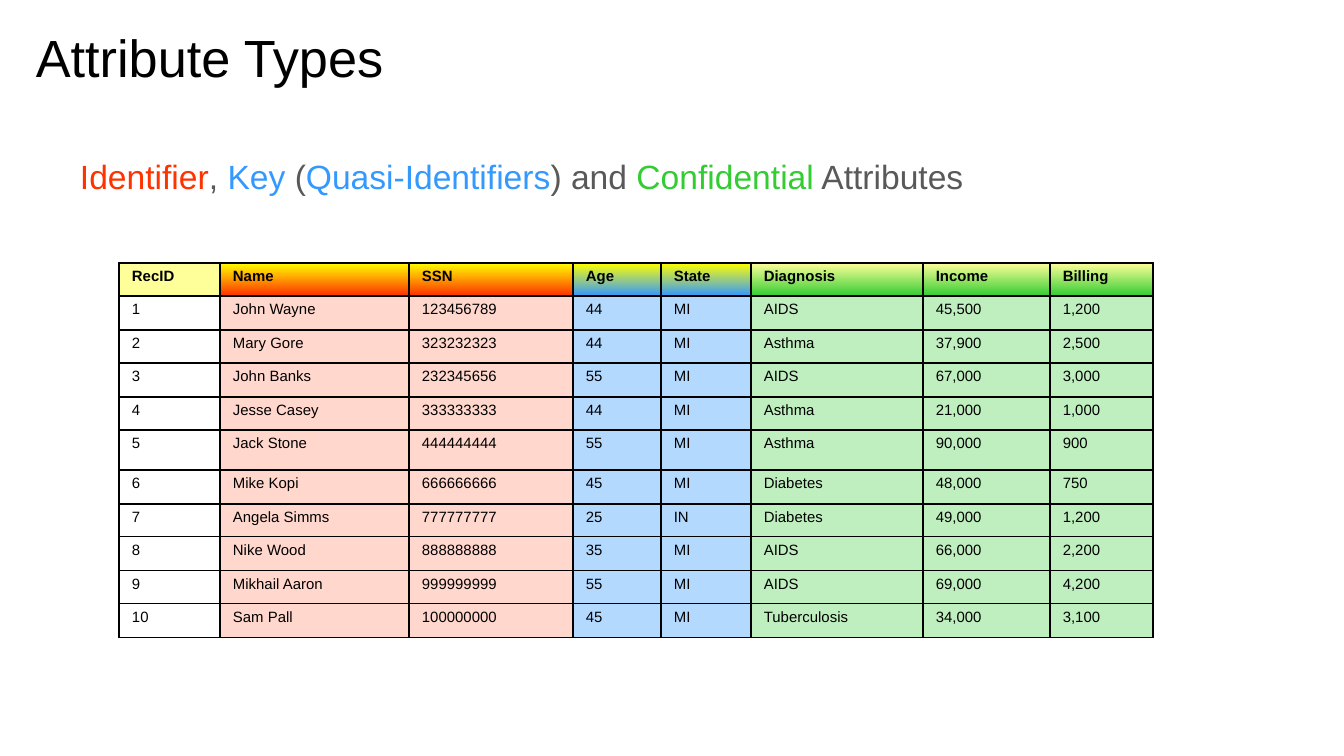
from dataclasses import dataclass

from lxml.etree import SubElement
from pptx import Presentation
from pptx.dml.color import RGBColor
from pptx.dml.fill import FillFormat
from pptx.enum.text import PP_ALIGN
from pptx.oxml import parse_xml
from pptx.oxml.ns import nsdecls, qn
from pptx.slide import Slide
from pptx.table import _Cell
from pptx.text.text import TextFrame
from pptx.util import Emu, Pt

PX_PER_INCH = 134.4


@dataclass(frozen=True)
class Theme:
    font: str = "Arial"
    title_size: int = 28
    legend_size: int = 18
    cell_size: int = 8
    border_width: int = 1
    black: str = "000000"
    gray: str = "595959"
    identifier: str = "FF3300"
    key: str = "3399FF"
    confidential: str = "33CC33"
    yellow: str = "FFFF00"
    pale_yellow: str = "FFFF99"
    identifier_deep: str = "FE3000"
    identifier_pale: str = "FFD7CD"
    key_pale: str = "B3D9FF"
    confidential_pale: str = "BFEFBF"


THEME = Theme()


@dataclass(frozen=True)
class Box:
    left: int
    top: int
    width: int
    height: int


@dataclass(frozen=True)
class AttributeType:
    """Header colours run from top to bottom; no body colour means no fill."""
    header: tuple[str, ...]
    body: str | None = None


@dataclass(frozen=True)
class Attribute:
    label: str
    width: int
    type: AttributeType


RECORD_ID = AttributeType((THEME.pale_yellow,))
IDENTIFIER = AttributeType((THEME.yellow, THEME.identifier_deep), THEME.identifier_pale)
KEY = AttributeType((THEME.yellow, THEME.key), THEME.key_pale)
CONFIDENTIAL = AttributeType((THEME.pale_yellow, THEME.confidential), THEME.confidential_pale)

ATTRIBUTES = [
    Attribute("RecID", 101, RECORD_ID),
    Attribute("Name", 189, IDENTIFIER),
    Attribute("SSN", 164, IDENTIFIER),
    Attribute("Age", 88, KEY),
    Attribute("State", 90, KEY),
    Attribute("Diagnosis", 172, CONFIDENTIAL),
    Attribute("Income", 127, CONFIDENTIAL),
    Attribute("Billing", 103, CONFIDENTIAL),
]
RECORDS = [
    ("John Wayne", "123456789", "44", "MI", "AIDS", "45,500", "1,200"),
    ("Mary Gore", "323232323", "44", "MI", "Asthma", "37,900", "2,500"),
    ("John Banks", "232345656", "55", "MI", "AIDS", "67,000", "3,000"),
    ("Jesse Casey", "333333333", "44", "MI", "Asthma", "21,000", "1,000"),
    ("Jack Stone", "444444444", "55", "MI", "Asthma", "90,000", "900"),
    ("Mike Kopi", "666666666", "45", "MI", "Diabetes", "48,000", "750"),
    ("Angela Simms", "777777777", "25", "IN", "Diabetes", "49,000", "1,200"),
    ("Nike Wood", "888888888", "35", "MI", "AIDS", "66,000", "2,200"),
    ("Mikhail Aaron", "999999999", "55", "MI", "AIDS", "69,000", "4,200"),
    ("Sam Pall", "100000000", "45", "MI", "Tuberculosis", "34,000", "3,100"),
]
ROW_HEIGHTS = [33, 34, 33, 34, 33, 40, 34, 33, 34, 33, 34]
LEGEND = [
    ("Identifier", THEME.identifier),
    (", ", THEME.gray),
    ("Key ", THEME.key),
    ("(", THEME.gray),
    ("Quasi-Identifiers", THEME.key),
    (") and ", THEME.gray),
    ("Confidential", THEME.confidential),
    (" Attributes", THEME.gray),
]


def px(length: int) -> Emu:
    return Emu(round(length * 914400 / PX_PER_INCH))


def write_text(frame: TextFrame, parts: list[tuple[str, str]], *, size: int,
               bold: bool = False, align: PP_ALIGN = PP_ALIGN.LEFT,
               line_spacing: float = 1.0, indent: int = 0) -> None:
    """Fill the first paragraph with (text, colour) parts."""
    paragraph = frame.paragraphs[0]
    paragraph.alignment = align
    paragraph.line_spacing = line_spacing
    if indent:
        paragraph._p.get_or_add_pPr().set("marL", str(px(indent)))
    for text, color in parts:
        run = paragraph.add_run()
        run.text = text
        run.font.name = THEME.font
        run.font.size = Pt(size)
        run.font.bold = bold
        run.font.color.rgb = RGBColor.from_string(color)


def add_text_frame(slide: Slide, box: Box) -> TextFrame:
    frame = slide.shapes.add_textbox(
        px(box.left), px(box.top), px(box.width), px(box.height)).text_frame
    frame.word_wrap = True
    frame.margin_left = frame.margin_right = px(13)
    frame.margin_top = frame.margin_bottom = px(13)
    return frame


def paint(fill: FillFormat, colors: tuple[str, ...]) -> None:
    """Apply no fill, a solid fill or a downward gradient, by colour count."""
    if not colors:
        fill.background()
    elif len(colors) == 1:
        fill.solid()
        fill.fore_color.rgb = RGBColor.from_string(colors[0])
    else:
        fill.gradient()
        fill.gradient_angle = 270
        for stop, color in zip(fill.gradient_stops, colors):
            stop.color.rgb = RGBColor.from_string(color)


def add_borders(cell: _Cell) -> None:
    properties = cell._tc.get_or_add_tcPr()
    for position, side in enumerate(("lnL", "lnR", "lnT", "lnB")):
        line = parse_xml(f'<a:{side} {nsdecls("a")} w="{Pt(THEME.border_width)}"/>')
        solid = SubElement(line, qn("a:solidFill"))
        SubElement(solid, qn("a:srgbClr"), val=THEME.black)
        properties.insert(position, line)


def add_cell(cell: _Cell, text: str, colors: tuple[str, ...], bold: bool) -> None:
    cell.margin_left = cell.margin_right = px(13)
    cell.margin_top = cell.margin_bottom = px(5)
    write_text(cell.text_frame, [(text, THEME.black)], size=THEME.cell_size,
               bold=bold, align=PP_ALIGN.JUSTIFY)
    paint(cell.fill, colors)
    add_borders(cell)


def add_records_table(slide: Slide, left: int, top: int) -> None:
    table = slide.shapes.add_table(
        len(ROW_HEIGHTS), len(ATTRIBUTES), px(left), px(top),
        px(sum(attribute.width for attribute in ATTRIBUTES)),
        px(sum(ROW_HEIGHTS))).table
    table.first_row = table.horz_banding = False
    for row, height in zip(table.rows, ROW_HEIGHTS):
        row.height = px(height)
    for column, attribute in enumerate(ATTRIBUTES):
        table.columns[column].width = px(attribute.width)
        add_cell(table.cell(0, column), attribute.label, attribute.type.header, bold=True)
        body = (attribute.type.body,) if attribute.type.body else ()
        for number, record in enumerate(RECORDS, start=1):
            values = (str(number), *record)
            add_cell(table.cell(number, column), values[column], body, bold=False)


def main() -> None:
    presentation = Presentation()
    presentation.slide_width = px(1344)
    presentation.slide_height = px(756)
    slide = presentation.slides.add_slide(presentation.slide_layouts[6])

    title = add_text_frame(slide, Box(23, 12, 1253, 85))
    write_text(title, [("Attribute Types", THEME.black)], size=THEME.title_size)
    legend = add_text_frame(slide, Box(51, 137, 1253, 503))
    write_text(legend, LEGEND, size=THEME.legend_size, line_spacing=1.15, indent=16)
    add_records_table(slide, 119, 263)

    presentation.save("out.pptx")


if __name__ == "__main__":
    main()
